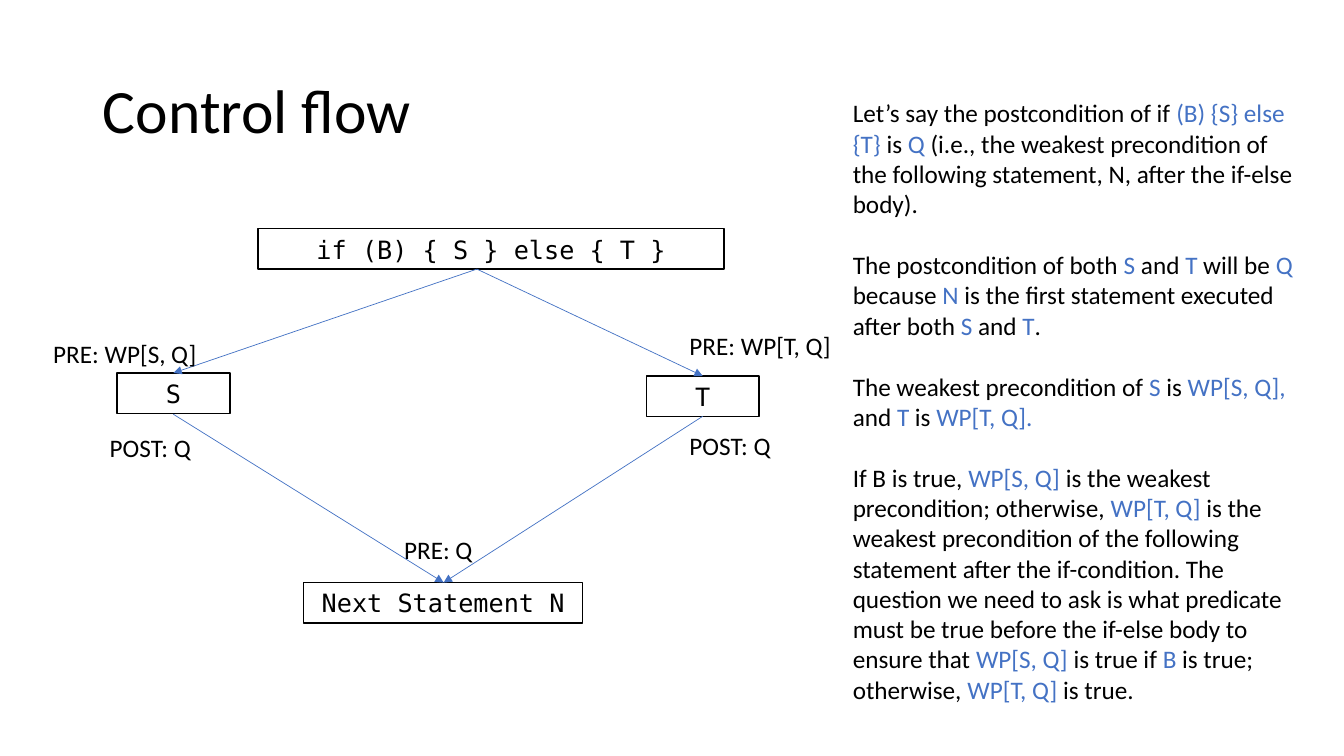
from lxml import etree
from pptx import Presentation, util as u
from pptx.dml.color import RGBColor
from pptx.enum import shapes, text
from pptx.oxml.ns import qn

BLACK = RGBColor(0x00, 0x00, 0x00)
BLUE = RGBColor(0x44, 0x72, 0xC4)
BODY_FONT = "Calibri"
CODE_FONT = "DejaVu Sans Mono"
ROW = 0.4

STATEMENTS = [
    ("if (B) { S } else { T }", 2.56, 2.27, 4.62),
    ("S", 1.16, 3.7, 1.12),
    ("T", 6.41, 3.73, 1.12),
    ("Next Statement N", 3.01, 5.78, 2.77),
]
BRANCH, JOIN = (4.73, 2.67), (4.4, 5.78)
FLOWS = [
    (BRANCH, (1.72, 3.7)),
    (BRANCH, (6.97, 3.73)),
    ((1.72, 4.11), JOIN),
    ((6.97, 4.13), JOIN),
]
CONDITIONS = [
    ("PRE: Q", 3.91, 5.25),
    ("POST: Q", 0.99, 4.24),
    ("POST: Q", 6.74, 4.22),
    ("PRE: WP[T, Q]", 6.74, 3.23),
    ("PRE: WP[S, Q]", 0.43, 3.31),
]
# Bars enclose the blue passages.
EXPLANATION = [
    "Let’s say the postcondition of if |(B) {S} else {T} |is |Q| (i.e., the weakest "
    "precondition of the following statement, N, after the if-else body).",
    "The postcondition of both |S| and |T| will be |Q| because |N| is the first "
    "statement executed after both |S| and |T|.",
    "The weakest precondition of |S| is |WP[S, Q], |and |T| is |WP[T, Q].|",
    "If B is true, |WP[S, Q] |is the weakest precondition; otherwise, |WP[T, Q] |is the "
    "weakest precondition of the following statement after the if-condition. The "
    "question we need to ask is what predicate must be true before the if-else body to "
    "ensure that |WP[S, Q]| is true if |B| is true; otherwise, |WP[T, Q]| is true.",
]


class FlowPage:
    def __init__(self, deck):
        self.page = deck.slides.add_slide(deck.slide_layouts[5])
        self.size = u.Pt(18)

    def style(self, para, font, size=None):
        para.font.name = font
        para.font.size = size or self.size
        para.font.color.rgb = BLACK

    def title(self, words):
        box = self.page.shapes.title
        box.left, box.top = u.Inches(0.92), u.Inches(0.4)
        box.width, box.height = u.Inches(11.5), u.Inches(1.45)
        frame = box.text_frame
        frame.text = words
        frame.vertical_anchor = text.MSO_ANCHOR.MIDDLE
        frame.auto_size = text.MSO_AUTO_SIZE.NONE
        para = frame.paragraphs[0]
        para.alignment = text.PP_ALIGN.LEFT
        para.line_spacing = 0.9
        self.style(para, BODY_FONT, u.Pt(44))

    def statement(self, code, left, top, width):
        box = self.page.shapes.add_shape(
            shapes.MSO_SHAPE.RECTANGLE, u.Inches(left), u.Inches(top),
            u.Inches(width), u.Inches(ROW))
        box.shadow.inherit = False
        box.fill.background()
        box.line.color.rgb = BLACK
        box.line.width = u.Pt(1)
        frame = box.text_frame
        frame.word_wrap = True
        frame.text = code
        para = frame.paragraphs[0]
        para.alignment = text.PP_ALIGN.CENTER
        self.style(para, CODE_FONT)

    def arrow(self, start, end):
        line = self.page.shapes.add_connector(
            shapes.MSO_CONNECTOR.STRAIGHT,
            *(u.Inches(length) for length in start + end))
        line.line.color.rgb = BLUE
        line.line.width = u.Pt(0.5)
        properties = line._element.spPr
        etree.SubElement(properties.find(qn("a:ln")), qn("a:tailEnd"), type="triangle")
        etree.SubElement(properties, qn("a:effectLst"))

    def prose(self, paragraphs, left, top, width=2.46, height=ROW):
        """Add a text box whose bar-enclosed passages are blue."""
        box = self.page.shapes.add_textbox(
            u.Inches(left), u.Inches(top), u.Inches(width), u.Inches(height))
        frame = box.text_frame
        frame.word_wrap = True
        frame.auto_size = text.MSO_AUTO_SIZE.SHAPE_TO_FIT_TEXT
        for number, words in enumerate(paragraphs):
            para = frame.add_paragraph() if number else frame.paragraphs[0]
            if number:
                para.space_before = u.Pt(22)
            self.style(para, BODY_FONT)
            for index, passage in enumerate(words.split("|")):
                if passage:
                    span = para.add_run()
                    span.text = passage
                    span.font.color.rgb = BLUE if index % 2 else BLACK


def main():
    deck = Presentation()
    deck.slide_width, deck.slide_height = u.Inches(13.33), u.Inches(7.5)
    flow = FlowPage(deck)
    flow.title("Control flow")
    for statement in STATEMENTS:
        flow.statement(*statement)
    for start, end in FLOWS:
        flow.arrow(start, end)
    for words, left, top in CONDITIONS:
        flow.prose([words], left, top)
    flow.prose(EXPLANATION, 8.36, 0.92, 4.64, 6.16)
    deck.save("out.pptx")


if __name__ == "__main__":
    main()
